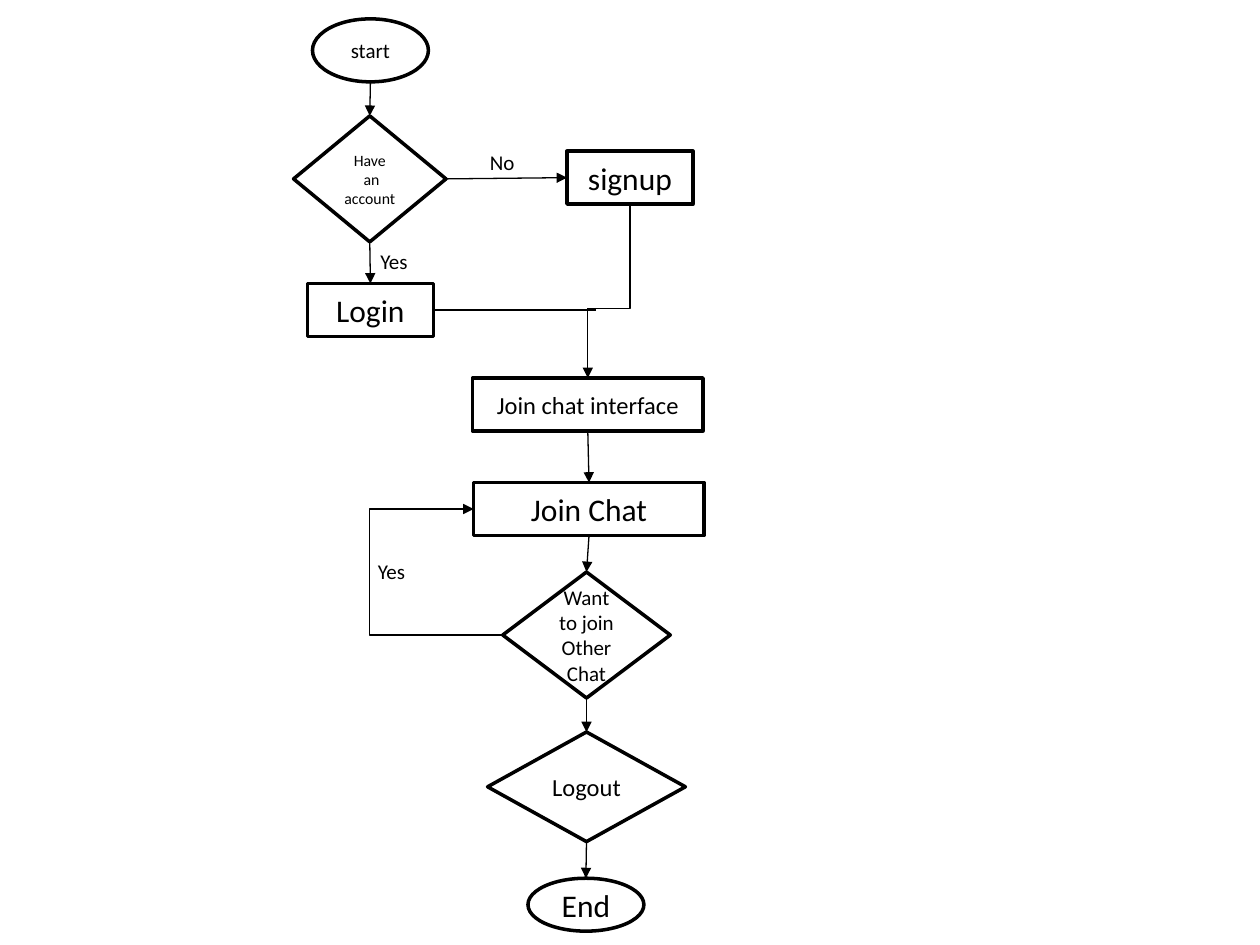
from dataclasses import dataclass

from lxml import etree
from pptx import Presentation
from pptx.dml.color import RGBColor
from pptx.enum.shapes import MSO_CONNECTOR, MSO_SHAPE
from pptx.enum.text import MSO_ANCHOR, MSO_AUTO_SIZE, PP_ALIGN
from pptx.oxml.ns import qn
from pptx.util import Inches, Pt

OVAL = MSO_SHAPE.OVAL
DIAMOND = MSO_SHAPE.DIAMOND
BOX = MSO_SHAPE.RECTANGLE
STRAIGHT = MSO_CONNECTOR.STRAIGHT
ELBOW = MSO_CONNECTOR.ELBOW
CENTER = PP_ALIGN.CENTER
LEFT = PP_ALIGN.LEFT
MIDDLE = MSO_ANCHOR.MIDDLE
FIT_TEXT = MSO_AUTO_SIZE.SHAPE_TO_FIT_TEXT


@dataclass(frozen=True)
class Theme:
    font: str = "Calibri"
    ink: RGBColor = RGBColor(0, 0, 0)
    paper: RGBColor = RGBColor(255, 255, 255)
    tiny: int = 9
    small: int = 12
    medium: int = 14
    large: int = 18
    outline: float = 2
    arrow: float = 0.75


THEME = Theme()


@dataclass(frozen=True)
class Node:
    kind: int
    text: str
    size: int
    x: float
    y: float
    width: float
    height: float

    @property
    def top(self):
        return self.x + self.width / 2, self.y

    @property
    def bottom(self):
        return self.x + self.width / 2, self.y + self.height

    @property
    def left(self):
        return self.x, self.y + self.height / 2

    @property
    def right(self):
        return self.x + self.width, self.y + self.height / 2


@dataclass(frozen=True)
class Label:
    text: str
    x: float
    y: float
    width: float
    height: float = 0.3


START = Node(OVAL, "start", THEME.small, 2.48, 0.15, 0.92, 0.5)
ACCOUNT = Node(DIAMOND, "Have\n an account", THEME.tiny, 2.33, 0.92, 1.21, 1)
LOGIN = Node(BOX, "Login", THEME.large, 2.44, 2.25, 1, 0.42)
SIGNUP = Node(BOX, "signup", THEME.large, 4.5, 1.2, 1, 0.42)
INTERFACE = Node(BOX, "Join chat interface", THEME.medium, 3.75, 3, 1.83, 0.42)
CHAT = Node(BOX, "Join Chat", THEME.large, 3.76, 3.83, 1.83, 0.42)
OTHER = Node(DIAMOND, "Want to join Other Chat", THEME.small, 3.99, 4.54, 1.33, 1)
LOGOUT = Node(DIAMOND, "Logout", THEME.medium, 3.87, 5.81, 1.57, 0.87)
END = Node(OVAL, "End", THEME.large, 4.19, 6.97, 0.92, 0.42)
NODES = (START, ACCOUNT, LOGIN, SIGNUP, INTERFACE, CHAT, OTHER, LOGOUT, END)

ARROWS = (
    (START.bottom, ACCOUNT.top),
    (ACCOUNT.right, SIGNUP.left),
    (ACCOUNT.bottom, LOGIN.top),
    (INTERFACE.bottom, CHAT.top),
    (CHAT.bottom, OTHER.top),
    (OTHER.bottom, LOGOUT.top),
    (LOGOUT.bottom, END.top),
)
LABELS = (
    Label("Yes", 2.92, 1.92, 0.42),
    Label("No", 3.79, 1.14, 0.4),
    Label("Yes", 2.9, 4.38, 0.42),
)


def write_text(text_frame, text: str, *, size: int, align=LEFT) -> None:
    text_frame.text = text
    for paragraph in text_frame.paragraphs:
        paragraph.alignment = align
        for run in paragraph.runs:
            run.font.name = THEME.font
            run.font.size = Pt(size)
            run.font.color.rgb = THEME.ink


def draw_node(slide, node: Node) -> None:
    shape = slide.shapes.add_shape(
        node.kind, Inches(node.x), Inches(node.y), Inches(node.width), Inches(node.height)
    )
    shape.shadow.inherit = False
    shape.fill.solid()
    shape.fill.fore_color.rgb = THEME.paper
    shape.line.color.rgb = THEME.ink
    shape.line.width = Pt(THEME.outline)
    shape.text_frame.word_wrap = True
    shape.text_frame.vertical_anchor = MIDDLE
    write_text(shape.text_frame, node.text, size=node.size, align=CENTER)


def draw_label(slide, label: Label) -> None:
    box = slide.shapes.add_textbox(
        Inches(label.x), Inches(label.y), Inches(label.width), Inches(label.height)
    )
    box.text_frame.word_wrap = False
    box.text_frame.auto_size = FIT_TEXT
    write_text(box.text_frame, label.text, size=THEME.small)


def draw_connector(slide, begin: tuple, end: tuple, kind=STRAIGHT, arrow: bool = True):
    connector = slide.shapes.add_connector(kind, *(Inches(value) for value in begin + end))
    connector.line.color.rgb = THEME.ink
    connector.line.width = Pt(THEME.arrow)
    properties = connector._element.spPr
    etree.SubElement(properties, qn("a:effectLst"))
    if arrow:
        line = properties.find(qn("a:ln"))
        etree.SubElement(line, qn("a:tailEnd"), type="triangle")
    return connector


def draw_elbow(slide, begin: tuple, end: tuple, bend: float, vertical: bool = False) -> None:
    if vertical:
        center_x, center_y = (begin[0] + end[0]) / 2, (begin[1] + end[1]) / 2
        half_x, half_y = (end[0] - begin[0]) / 2, (end[1] - begin[1]) / 2
        begin = center_x - half_y, center_y + half_x
        end = center_x + half_y, center_y - half_x
    properties = draw_connector(slide, begin, end, ELBOW)._element.spPr
    if vertical:
        properties.find(qn("a:xfrm")).set("rot", str(90 * 60000))
    geometry = properties.find(qn("a:prstGeom"))
    adjustments = geometry.find(qn("a:avLst"))
    if adjustments is None:
        adjustments = etree.SubElement(geometry, qn("a:avLst"))
    etree.SubElement(
        adjustments, qn("a:gd"), name="adj1", fmla=f"val {round(bend * 100000)}"
    )


def main() -> None:
    presentation = Presentation()
    presentation.slide_width = Inches(10)
    presentation.slide_height = Inches(7.5)
    slide = presentation.slides.add_slide(presentation.slide_layouts[6])
    for node in NODES:
        draw_node(slide, node)
    for begin, end in ARROWS:
        draw_connector(slide, begin, end)
    draw_connector(slide, LOGIN.right, (4.73, LOGIN.right[1]), arrow=False)
    draw_elbow(slide, SIGNUP.bottom, INTERFACE.top, 0.6, vertical=True)
    draw_elbow(slide, OTHER.left, CHAT.left, 4.59)
    for label in LABELS:
        draw_label(slide, label)
    presentation.save("out.pptx")


if __name__ == "__main__":
    main()
